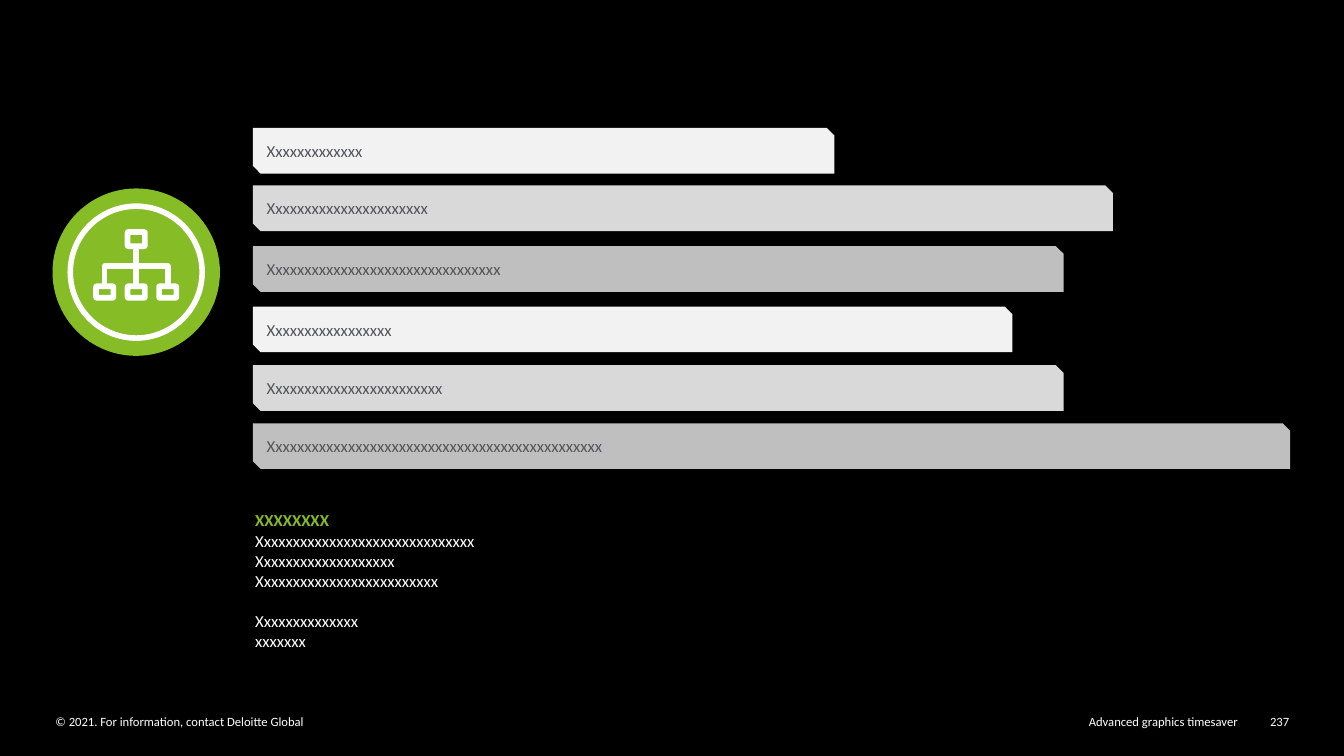
from itertools import cycle

from lxml import etree
from pptx import Presentation
from pptx.dml.color import RGBColor
from pptx.enum.shapes import MSO_CONNECTOR as CONN, MSO_SHAPE as SHAPE
from pptx.enum.text import MSO_ANCHOR as ANCHOR, PP_ALIGN as ALIGN
from pptx.oxml.ns import qn
from pptx.util import Pt

COLORS = {"black": "000000", "white": "FFFFFF", "green": "86BC25", "text": "53565A",
          "light": "F2F2F2", "mid": "D9D9D9", "dark": "BFBFBF"}


def rgb(name):
    return RGBColor.from_string(COLORS[name])


def write(p, text, size=12, color="white", bold=False, align=ALIGN.LEFT, before=0):
    p.alignment = align
    if before:
        p.space_before = Pt(before)
    r = p.add_run()
    r.text = text
    r.font.name, r.font.size, r.font.bold = "Calibri", Pt(size), bold
    r.font.color.rgb = rgb(color)


prs = Presentation()
prs.slide_width, prs.slide_height = Pt(960), Pt(540)
s = prs.slides.add_slide(prs.slide_layouts[6])
s.background.fill.solid()
s.background.fill.fore_color.rgb = rgb("black")

# Footer
for text, left, width, align in [
    ("© 2021. For information, contact Deloitte Global", 39.6, 422, ALIGN.LEFT),
    ("Advanced graphics timesaver", 499, 385, ALIGN.RIGHT),
    ("237", 896.4, 24.5, ALIGN.RIGHT),
]:
    tf = s.shapes.add_textbox(Pt(left), Pt(509.8), Pt(width), Pt(10.8)).text_frame
    tf.word_wrap = True
    tf.margin_left = tf.margin_right = tf.margin_top = tf.margin_bottom = 0
    write(tf.paragraphs[0], text, size=9, align=align)

# Bars
bars = [
    ("Xxxxxxxxxxxxx", 91.4, 415.4),
    ("Xxxxxxxxxxxxxxxxxxxxxx", 132.5, 614.2),
    ("Xxxxxxxxxxxxxxxxxxxxxxxxxxxxxxxx", 175.9, 579),
    ("Xxxxxxxxxxxxxxxxx", 219, 542.4),
    ("Xxxxxxxxxxxxxxxxxxxxxxxx", 260.9, 579),
    ("Xxxxxxxxxxxxxxxxxxxxxxxxxxxxxxxxxxxxxxxxxxxxxx", 302.4, 740.9),
]
for (text, top, width), shade in zip(bars, cycle(["light", "mid", "dark"])):
    sp = s.shapes.add_shape(SHAPE.SNIP_2_DIAG_RECTANGLE, Pt(180.7), Pt(top), Pt(width), Pt(32.6))
    sp.shadow.inherit = False
    sp.fill.solid()
    sp.fill.fore_color.rgb = rgb(shade)
    sp.line.fill.background()
    sp.text_frame.vertical_anchor = ANCHOR.MIDDLE
    write(sp.text_frame.paragraphs[0], text, color="text")

# Notes under the bars
tf = s.shapes.add_textbox(Pt(178.6), Pt(347.8), Pt(370.8), Pt(120.2)).text_frame
tf.word_wrap = True
tf.margin_left = tf.margin_right = Pt(3.6)
tf.margin_top = tf.margin_bottom = Pt(2.2)
heading = tf.paragraphs[0]
heading.line_spacing = 2.0
write(heading, "XXXXXXXX", color="green", bold=True)
for text, before in [
    ("Xxxxxxxxxxxxxxxxxxxxxxxxxxxxxx", 0),
    ("Xxxxxxxxxxxxxxxxxxx", 0),
    ("Xxxxxxxxxxxxxxxxxxxxxxxxx", 0),
    ("Xxxxxxxxxxxxxx", 14.4),
    ("xxxxxxx", 0),
]:
    write(tf.add_paragraph(), text, before=before)

# Hierarchy icon: disc, ring and four boxes, each given by centre and size
cx, cy, gap, stroke = 97.3, 194.4, 22.5, 4
bar_y, low_y = 190.2, 208.6
for kind, x, y, w, h, filled in [
    (SHAPE.OVAL, cx, cy, 119.6, 119.6, True),
    (SHAPE.OVAL, cx, cy, 94.2, 94.2, False),
    (SHAPE.ROUNDED_RECTANGLE, cx, 170.8, 12.4, 10.2, False),
    *[(SHAPE.ROUNDED_RECTANGLE, cx + i * gap, low_y, 12.4, 8.2, False) for i in (-1, 0, 1)],
]:
    sp = s.shapes.add_shape(kind, Pt(x - w / 2), Pt(y - h / 2), Pt(w), Pt(h))
    sp.shadow.inherit = False
    if kind == SHAPE.ROUNDED_RECTANGLE:
        sp.adjustments[0] = 0.05
    if filled:
        sp.fill.solid()
        sp.fill.fore_color.rgb = rgb("green")
        sp.line.fill.background()
    else:
        sp.fill.background()
        sp.line.color.rgb = rgb("white")
        sp.line.width = Pt(stroke)

leg_y = low_y - 4.1
fb = s.shapes.build_freeform(Pt(cx - gap), Pt(leg_y))
fb.add_line_segments([(Pt(cx - gap), Pt(bar_y)), (Pt(cx + gap), Pt(bar_y)),
                      (Pt(cx + gap), Pt(leg_y))], close=False)
branch = fb.convert_to_shape()
branch.shadow.inherit = False
branch.fill.background()
stem = s.shapes.add_connector(CONN.STRAIGHT, Pt(cx), Pt(175.9), Pt(cx), Pt(leg_y))
for line in (branch.line, stem.line):
    line.color.rgb = rgb("white")
    line.width = Pt(stroke)
etree.SubElement(stem._element.spPr, qn("a:effectLst"))

prs.save("out.pptx")
